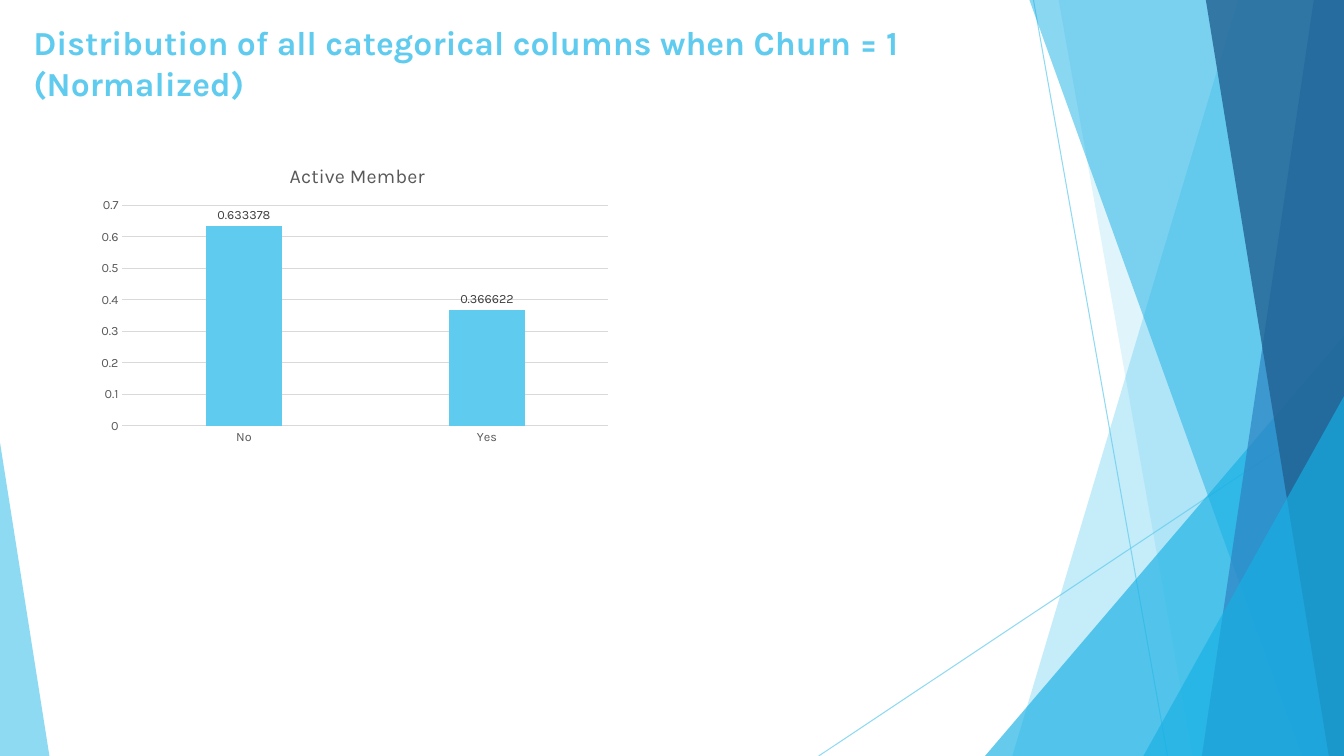
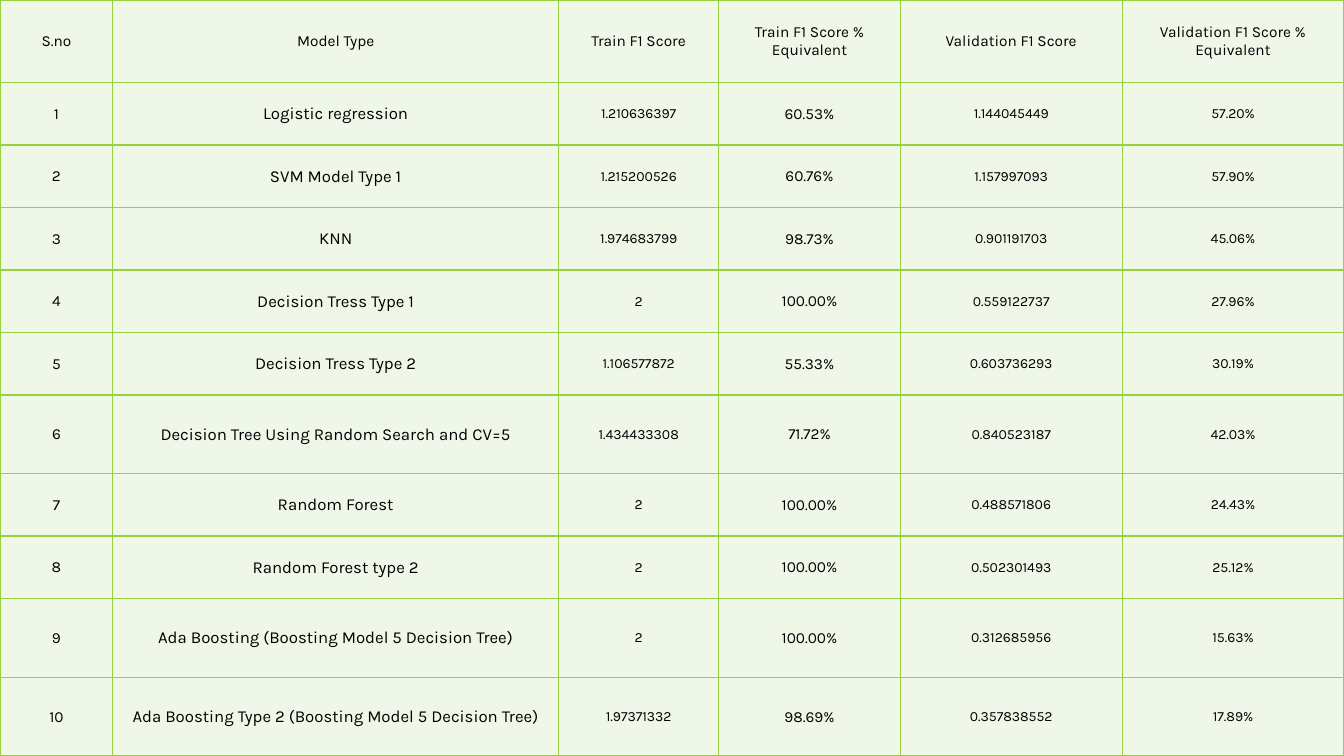
import lxml.etree
import pptx
import pptx.chart.data
import pptx.dml.color
import pptx.enum.chart
import pptx.enum.shapes
import pptx.enum.text
import pptx.oxml.ns
import pptx.util

Inches = pptx.util.Inches
Pt = pptx.util.Pt
RGBColor = pptx.dml.color.RGBColor
qn = pptx.oxml.ns.qn

FONT = "Karla"
SKY = RGBColor(0x5F, 0xCB, 0xEF)
CYAN = RGBColor(0x17, 0xB0, 0xE4)
BLUE = RGBColor(0x2E, 0x83, 0xC3)
NAVY = RGBColor(0x22, 0x62, 0x92)
GREEN = RGBColor(0x96, 0xD1, 0x41)
PALE_GREEN = RGBColor(0xEF, 0xF7, 0xE9)
BLACK = RGBColor(0, 0, 0)
DARK_GRAY = RGBColor(0x40, 0x40, 0x40)
GRAY = RGBColor(0x59, 0x59, 0x59)
LIGHT_GRAY = RGBColor(0xD9, 0xD9, 0xD9)

WIDTH, HEIGHT = 13.33, 7.5
TITLE_ONLY, BLANK = 5, 6

MODEL_HEADERS = ["S.no", "Model Type", "Train F1 Score", "Train F1 Score % Equivalent",
                 "Validation F1 Score", "Validation F1 Score % Equivalent"]
MODEL_SCORES = [
    ("Logistic regression", "1.210636397", "60.53%", "1.144045449", "57.20%"),
    ("SVM Model Type 1", "1.215200526", "60.76%", "1.157997093", "57.90%"),
    ("KNN", "1.974683799", "98.73%", "0.901191703", "45.06%"),
    ("Decision Tress Type 1", "2", "100.00%", "0.559122737", "27.96%"),
    ("Decision Tress Type 2", "1.106577872", "55.33%", "0.603736293", "30.19%"),
    ("Decision Tree Using Random Search and CV=5", "1.434433308", "71.72%", "0.840523187", "42.03%"),
    ("Random Forest", "2", "100.00%", "0.488571806", "24.43%"),
    ("Random Forest type 2", "2", "100.00%", "0.502301493", "25.12%"),
    ("Ada Boosting (Boosting Model 5 Decision Tree)", "2", "100.00%", "0.312685956", "15.63%"),
    ("Ada Boosting Type 2 (Boosting Model 5 Decision Tree)", "1.97371332", "98.69%",
     "0.357838552", "17.89%"),
]
COLUMN_WIDTHS = [1.12, 4.42, 1.59, 1.8, 2.2, 2.2]
COLUMN_SIZES = [11, 12, 10, 11, 10, 10]
HEADER_SIZE = 11
HEADER_HEIGHT, ROW_HEIGHT, TALL_ROW_HEIGHT = 0.82, 0.62, 0.78
TALL_ROWS = {6, 9, 10}


def set_alpha(shape, percent):
    for color in shape.element.xpath(".//a:srgbClr"):
        lxml.etree.SubElement(color, qn("a:alpha")).set("val", str(percent * 1000))


def set_chart_layout(parent, index, **fractions):
    """Place a chart part by fractions of the chart area; a size marks the inner plot."""
    for old_layout in parent.findall(qn("c:layout")):
        parent.remove(old_layout)
    layout = lxml.etree.Element(qn("c:layout"))
    parent.insert(index, layout)
    manual = lxml.etree.SubElement(layout, qn("c:manualLayout"))
    settings = {"xMode": "edge", "yMode": "edge", **fractions}
    if "w" in fractions:
        settings = {"layoutTarget": "inner", **settings}
    for name, value in settings.items():
        lxml.etree.SubElement(manual, qn("c:" + name)).set("val", str(value))


class Deck:
    def __init__(self):
        self.presentation = pptx.Presentation()
        self.presentation.slide_width = Inches(WIDTH)
        self.presentation.slide_height = Inches(HEIGHT)
        self.slide = None

    def add_slide(self, layout_index):
        layout = self.presentation.slide_layouts[layout_index]
        self.slide = self.presentation.slides.add_slide(layout)

    def style_font(self, font, size, color, bold=False):
        font.name = FONT
        font.size = Pt(size)
        font.bold = bold
        font.color.rgb = color

    def fill_shape(self, shape, color, alpha):
        shape.shadow.inherit = False
        shape.fill.solid()
        shape.fill.fore_color.rgb = color
        shape.line.fill.background()
        set_alpha(shape, alpha)
        return shape

    def add_band(self, top_left, bottom_left, color, alpha):
        """A full-height band that reaches the right edge of the slide."""
        corners = [(top_left, 0), (WIDTH, 0), (WIDTH, HEIGHT), (bottom_left, HEIGHT)]
        points = [(Inches(x), Inches(y)) for x, y in corners]
        builder = self.slide.shapes.build_freeform(*points[0])
        builder.add_line_segments(points[1:], close=True)
        return self.fill_shape(builder.convert_to_shape(), color, alpha)

    def add_corner(self, left, top, width, apex, color, alpha):
        """A triangle standing on the bottom edge; apex 0 is left and 1 is right."""
        shape = self.slide.shapes.add_shape(
            pptx.enum.shapes.MSO_SHAPE.ISOSCELES_TRIANGLE,
            Inches(left), Inches(top), Inches(width), Inches(HEIGHT - top))
        shape.adjustments[0] = apex
        return self.fill_shape(shape, color, alpha)

    def add_thin_line(self, start, end):
        line = self.slide.shapes.add_connector(
            pptx.enum.shapes.MSO_CONNECTOR.STRAIGHT,
            *[Inches(length) for length in start + end])
        line.line.color.rgb = SKY
        line.line.width = Pt(0.75)
        lxml.etree.SubElement(line.element.spPr, qn("a:effectLst"))
        set_alpha(line, 70)
        return line

    def decorate_master(self):
        """Draw the facets on the current slide, then move them behind the master's text."""
        facets = [
            self.add_thin_line((10.25, 0), (11.58, HEIGHT)),
            self.add_thin_line((WIDTH, 4.03), (8.12, HEIGHT)),
            self.add_band(12.28, 10.04, SKY, 36),
            self.add_band(10.5, 11.83, SKY, 20),
            self.add_corner(9.77, 3.33, 3.56, 1, CYAN, 66),
            self.add_band(10.21, 12.91, CYAN, 50),
            self.add_band(13.03, 11.92, BLUE, 70),
            self.add_band(11.96, 13.18, NAVY, 80),
            self.add_corner(11.34, 3.93, 1.99, 1, CYAN, 66),
            self.add_corner(0, 4.39, 0.49, 0, SKY, 70),
        ]
        master_tree = self.presentation.slide_master.shapes.element
        for number, facet in enumerate(facets):
            facet.element.xpath("./*/p:cNvPr")[0].set("id", str(100 + number))
            master_tree.insert(2 + number, facet.element)

    def add_title(self, text):
        title = self.slide.shapes.title
        title.left, title.top = Inches(0.23), Inches(0.17)
        title.width, title.height = Inches(9.4), Inches(1.44)
        frame = title.text_frame
        frame.word_wrap = True
        frame.auto_size = pptx.enum.text.MSO_AUTO_SIZE.NONE
        frame.vertical_anchor = pptx.enum.text.MSO_ANCHOR.TOP
        paragraph = frame.paragraphs[0]
        paragraph.alignment = pptx.enum.text.PP_ALIGN.LEFT
        run = paragraph.add_run()
        run.text = text
        self.style_font(run.font, 24, SKY, bold=True)

    def add_column_chart(self, title, categories, values, left, top, width, height):
        data = pptx.chart.data.CategoryChartData()
        data.categories = categories
        data.add_series("Series 1", values)
        chart = self.slide.shapes.add_chart(
            pptx.enum.chart.XL_CHART_TYPE.COLUMN_CLUSTERED,
            Inches(left), Inches(top), Inches(width), Inches(height), data).chart
        self.style_font(chart.font, 10, BLACK)
        chart.has_legend = False
        chart.has_title = True
        run = chart.chart_title.text_frame.paragraphs[0].add_run()
        run.text = title
        self.style_font(run.font, 14, GRAY)
        chart.chart_title.include_in_layout = False
        set_chart_layout(chart.element.xpath("./c:chart/c:title")[0], 1, x=0.37, y=0.05)
        set_chart_layout(chart.element.xpath("./c:chart/c:plotArea")[0], 0,
                         x=0.06, y=0.2, w=0.92, h=0.72)

        for axis in (chart.category_axis, chart.value_axis):
            axis.major_tick_mark = pptx.enum.chart.XL_TICK_MARK.NONE
            axis.minor_tick_mark = pptx.enum.chart.XL_TICK_MARK.NONE
            self.style_font(axis.tick_labels.font, 9, GRAY)
        chart.value_axis.minimum_scale = 0
        chart.value_axis.maximum_scale = 0.7
        chart.value_axis.major_unit = 0.1
        chart.value_axis.format.line.fill.background()
        for line in (chart.category_axis.format.line,
                     chart.value_axis.major_gridlines.format.line):
            line.color.rgb = LIGHT_GRAY
            line.width = Pt(0.75)

        plot = chart.plots[0]
        plot.vary_by_categories = False
        plot.gap_width = 219
        plot.overlap = -27
        series = plot.series[0]
        series.format.fill.solid()
        series.format.fill.fore_color.rgb = SKY
        labels = series.data_labels
        labels.show_value = True
        labels.position = pptx.enum.chart.XL_LABEL_POSITION.OUTSIDE_END
        self.style_font(labels.font, 9, DARK_GRAY)

    def format_cell(self, cell, text, size):
        cell.margin_left = cell.margin_right = cell.margin_top = Inches(0.01)
        cell.margin_bottom = 0
        cell.vertical_anchor = pptx.enum.text.MSO_ANCHOR.MIDDLE
        properties = cell._tc.get_or_add_tcPr()
        for side in ("lnL", "lnR", "lnT", "lnB"):
            border = lxml.etree.SubElement(properties, qn("a:" + side))
            border.set("w", str(Pt(1)))
            border_fill = lxml.etree.SubElement(border, qn("a:solidFill"))
            lxml.etree.SubElement(border_fill, qn("a:srgbClr")).set("val", str(GREEN))
        cell.fill.solid()
        cell.fill.fore_color.rgb = PALE_GREEN
        paragraph = cell.text_frame.paragraphs[0]
        paragraph.alignment = pptx.enum.text.PP_ALIGN.CENTER
        run = paragraph.add_run()
        run.text = text
        self.style_font(run.font, size, BLACK)

    def add_full_table(self, rows, column_widths, row_heights, header_size, column_sizes):
        """A table that covers the whole slide."""
        table = self.slide.shapes.add_table(
            len(rows), len(column_widths), 0, 0, Inches(WIDTH), Inches(HEIGHT)).table
        table.first_row = False
        table.horz_banding = False
        for column, width in zip(table.columns, column_widths):
            column.width = Inches(width)
        for row_index, (row, height) in enumerate(zip(rows, row_heights)):
            table.rows[row_index].height = Inches(height)
            for column_index, text in enumerate(row):
                size = column_sizes[column_index] if row_index else header_size
                self.format_cell(table.cell(row_index, column_index), text, size)


def main():
    deck = Deck()

    deck.add_slide(TITLE_ONLY)
    deck.decorate_master()
    deck.add_title("Distribution of all categorical columns when Churn = 1 (Normalized)")
    deck.add_column_chart("Active Member", ["No", "Yes"], [0.633378, 0.366622],
                          0.9, 1.43, 5.24, 3.04)

    deck.add_slide(BLANK)
    rows = [MODEL_HEADERS]
    row_heights = [HEADER_HEIGHT]
    for number, scores in enumerate(MODEL_SCORES, start=1):
        rows.append((str(number), *scores))
        row_heights.append(TALL_ROW_HEIGHT if number in TALL_ROWS else ROW_HEIGHT)
    deck.add_full_table(rows, COLUMN_WIDTHS, row_heights, HEADER_SIZE, COLUMN_SIZES)

    deck.presentation.save("out.pptx")


if __name__ == "__main__":
    main()
